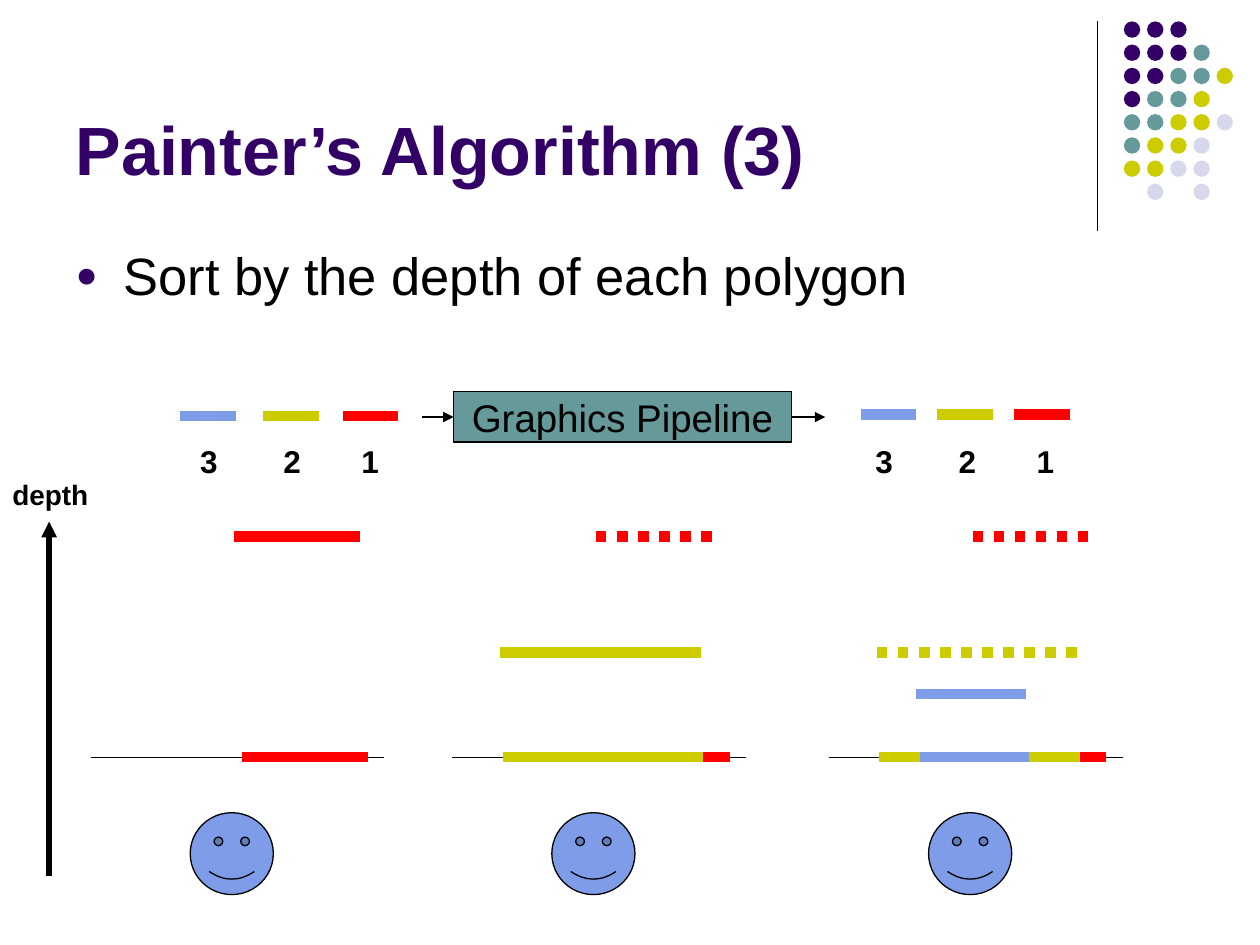
from dataclasses import dataclass

from lxml.etree import SubElement
from pptx import Presentation
from pptx.dml.color import RGBColor
from pptx.enum.dml import MSO_LINE
from pptx.enum.shapes import MSO_CONNECTOR, MSO_SHAPE
from pptx.enum.text import MSO_ANCHOR, MSO_AUTO_SIZE, PP_ALIGN
from pptx.oxml.ns import qn
from pptx.util import Inches, Pt

COLORS = {
    "purple": "330066",
    "teal": "669999",
    "olive": "CCCC00",
    "lavender": "D8D8EC",
    "red": "FF0000",
    "blue": "7E9CE8",
    "black": "000000",
}
FONT = "Arial"
DOT_KEYS = {"P": "purple", "T": "teal", "O": "olive", "L": "lavender"}
DOT_ROWS = ["PPP", "PPPT", "PPTTO", "PTTO", "TTOOL", "TOOL", "OOLL", " L L"]
DOT_PITCH = 0.184
SCREEN_Y = 6.01


@dataclass
class Polygon:
    number: str
    color: str
    length: float
    depth_x: float  # offsets from the left end of a view's screen line
    screen_x: float
    depth_y: float


@dataclass
class Queue:
    bar_lefts: list[float]
    label_lefts: list[float]
    bar_y: float


# Farthest polygon first, which is the painting order
POLYGONS = [
    Polygon("1", "red", 1.0, 1.14, 1.2, 4.26),
    Polygon("2", "olive", 1.59, 0.38, 0.4, 5.18),
    Polygon("3", "blue", 0.87, 0.69, 0.72, 5.51),
]
QUEUES = [
    Queue([2.72, 2.09, 1.43], [2.77, 2.15, 1.49], 3.3),
    Queue([8.05, 7.44, 6.83], [8.13, 7.51, 6.85], 3.29),
]
VIEW_LEFTS = [0.72, 3.59, 6.58]


def rgb(color: str) -> RGBColor:
    return RGBColor.from_string(COLORS[color])


def style_font(paragraph, size: float, color: str = "black", bold: bool = False) -> None:
    for run in paragraph.runs:
        run.font.name = FONT
        run.font.size = Pt(size)
        run.font.bold = bold
        run.font.color.rgb = rgb(color)


def add_line(slide, start: tuple, end: tuple, color: str = "black", width: float = 0.75,
             dotted: bool = False, arrow: bool = False):
    line = slide.shapes.add_connector(
        MSO_CONNECTOR.STRAIGHT, *(Inches(v) for v in (*start, *end)))
    line.line.color.rgb = rgb(color)
    line.line.width = Pt(width)
    if dotted:
        line.line.dash_style = MSO_LINE.ROUND_DOT
    if arrow:
        SubElement(line.line._get_or_add_ln(), qn("a:tailEnd"), type="triangle")
    SubElement(line._element.spPr, qn("a:effectLst"))
    return line


def add_bar(slide, left: float, y: float, length: float, color: str,
            dotted: bool = False) -> None:
    add_line(slide, (left, y), (left + length, y), color, 6, dotted)


def add_filled(slide, preset, left: float, top: float, width: float, height: float,
               color: str, outlined: bool = True):
    shape = slide.shapes.add_shape(
        preset, *(Inches(v) for v in (left, top, width, height)))
    shape.shadow.inherit = False
    shape.fill.solid()
    shape.fill.fore_color.rgb = rgb(color)
    if outlined:
        shape.line.color.rgb = rgb("black")
        shape.line.width = Pt(0.75)
    else:
        shape.line.fill.background()
    return shape


def add_label(slide, text: str, left: float, top: float, width: float, height: float,
              size: float) -> None:
    label = slide.shapes.add_textbox(*(Inches(v) for v in (left, top, width, height)))
    frame = label.text_frame
    frame.word_wrap = False
    frame.auto_size = MSO_AUTO_SIZE.SHAPE_TO_FIT_TEXT
    frame.text = text
    style_font(frame.paragraphs[0], size, bold=True)


def place(shape, left: float, top: float, width: float, height: float) -> None:
    shape.left, shape.top = Inches(left), Inches(top)
    shape.width, shape.height = Inches(width), Inches(height)


def fill_placeholders(slide) -> None:
    title, body = slide.shapes.title, slide.placeholders[1]
    place(title, 0.5, 0.13, 8.25, 1.42)
    title.text_frame.text = "Painter’s Algorithm (3)"
    title.text_frame.vertical_anchor = MSO_ANCHOR.BOTTOM
    heading = title.text_frame.paragraphs[0]
    heading.alignment = PP_ALIGN.LEFT
    style_font(heading, 39, "purple", True)

    place(body, 0.5, 1.88, 9, 4.82)
    body.text_frame.text = "Sort by the depth of each polygon"
    point = body.text_frame.paragraphs[0]
    point.space_before = Pt(0)
    properties = point._p.get_or_add_pPr()
    properties.set("marL", str(Inches(0.38)))
    properties.set("indent", str(Inches(-0.38)))
    bullet_color = SubElement(properties, qn("a:buClr"))
    SubElement(bullet_color, qn("a:srgbClr"), val=COLORS["purple"])
    SubElement(properties, qn("a:buSzPct"), val="70000")
    SubElement(properties, qn("a:buFont"), typeface=FONT)
    SubElement(properties, qn("a:buChar"), char="●")
    style_font(point, 30)


def add_dot_corner(slide) -> None:
    add_line(slide, (8.71, 0.17), (8.71, 1.83))
    for row, keys in enumerate(DOT_ROWS):
        for column, key in enumerate(keys):
            if key in DOT_KEYS:
                add_filled(slide, MSO_SHAPE.OVAL, 8.92 + column * DOT_PITCH,
                           0.17 + row * DOT_PITCH, 0.13, 0.13, DOT_KEYS[key], False)


def add_pipeline(slide) -> None:
    pipeline = add_filled(slide, MSO_SHAPE.RECTANGLE, 3.6, 3.11, 2.68, 0.4, "teal")
    frame = pipeline.text_frame
    frame.word_wrap = False
    frame.vertical_anchor = MSO_ANCHOR.MIDDLE
    frame.text = "Graphics Pipeline"
    frame.paragraphs[0].alignment = PP_ALIGN.CENTER
    style_font(frame.paragraphs[0], 22)
    add_line(slide, (3.35, 3.31), (3.6, 3.31), arrow=True).end_connect(pipeline, 1)
    add_line(slide, (6.28, 3.31), (6.55, 3.31), arrow=True).begin_connect(pipeline, 3)


def add_queue(slide, queue: Queue) -> None:
    for polygon, bar_left, label_left in zip(POLYGONS, queue.bar_lefts, queue.label_lefts):
        add_bar(slide, bar_left, queue.bar_y, 0.44, polygon.color)
        add_label(slide, polygon.number, label_left, 3.46, 0.34, 0.4, 18)


def add_view(slide, left: float, painted: list[Polygon]) -> None:
    add_filled(slide, MSO_SHAPE.SMILEY_FACE, left + 0.79, 6.45, 0.66, 0.65, "blue")
    add_line(slide, (left, SCREEN_Y), (left + 2.33, SCREEN_Y))
    for polygon in painted:
        add_bar(slide, left + polygon.depth_x, polygon.depth_y, polygon.length,
                polygon.color, dotted=polygon is not painted[-1])
        add_bar(slide, left + polygon.screen_x, SCREEN_Y, polygon.length, polygon.color)


def main() -> None:
    deck = Presentation()
    deck.slide_width, deck.slide_height = Inches(10), Inches(7.5)
    slide = deck.slides.add_slide(deck.slide_layouts[1])

    # Heading, bullet and corner decoration
    fill_placeholders(slide)
    add_dot_corner(slide)

    # Sorted polygons before and after the pipeline
    add_pipeline(slide)
    for queue in QUEUES:
        add_queue(slide, queue)

    # One more polygon painted in each view
    for count, left in enumerate(VIEW_LEFTS, start=1):
        add_view(slide, left, POLYGONS[:count])

    # Depth axis
    add_line(slide, (0.39, 6.95), (0.39, 4.14), width=3, arrow=True)
    add_label(slide, "depth", 0, 3.74, 0.8, 0.37, 16)

    deck.save("out.pptx")


if __name__ == "__main__":
    main()
